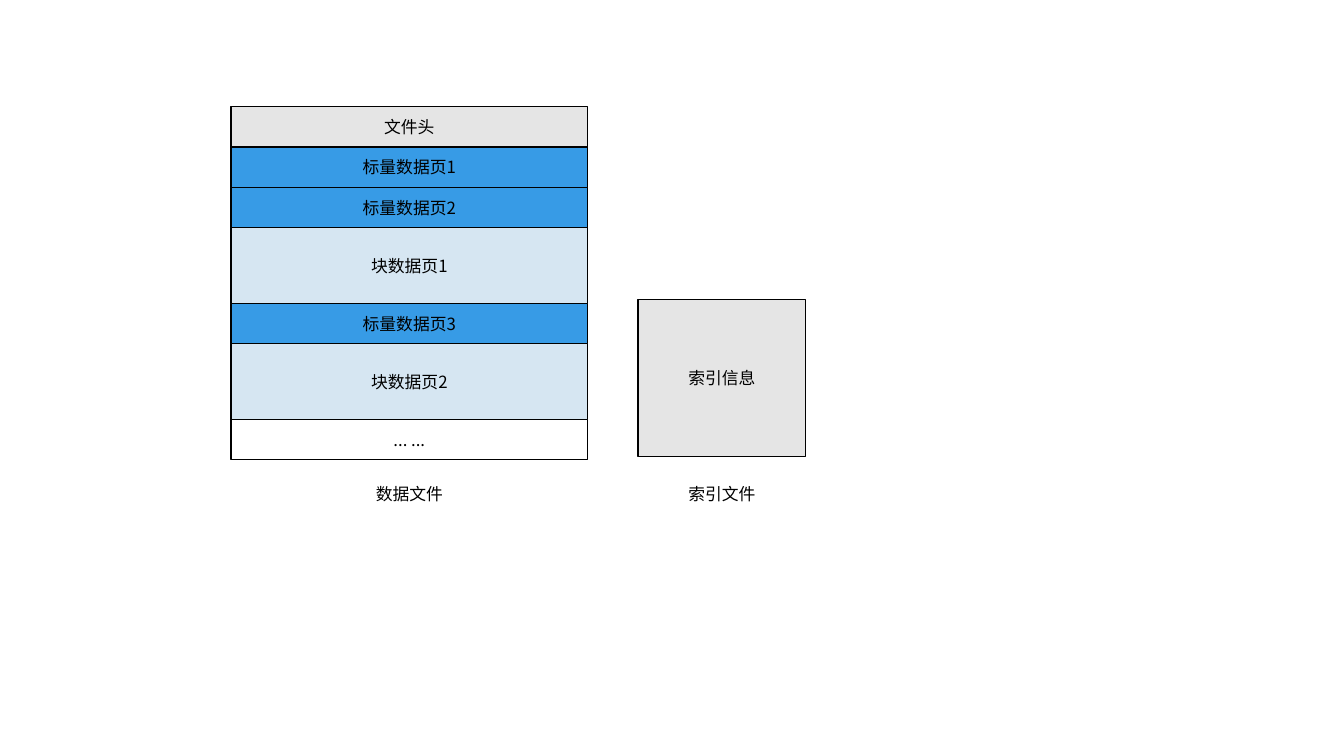
from dataclasses import dataclass

from lxml.etree import SubElement
from pptx import Presentation
from pptx.dml.color import RGBColor
from pptx.enum.shapes import MSO_SHAPE
from pptx.enum.text import MSO_ANCHOR, MSO_AUTO_SIZE, PP_ALIGN
from pptx.oxml.ns import qn
from pptx.util import Inches, Pt


@dataclass(frozen=True)
class Theme:
    """Fonts, sizes and colours of the slide."""
    font: str = "Noto Sans CJK SC"
    text_size: int = 12
    line_width: int = 1
    ink: str = "000000"
    neutral: str = "E5E5E5"
    scalar: str = "379BE6"
    block: str = "D6E6F2"
    blank: str = "FFFFFF"


class Diagram:
    """Draws boxes and captions on one slide in one theme."""

    def __init__(self, slide, theme):
        """Keep the slide and its theme."""
        self.slide = slide
        self.theme = theme

    def label(self, frame, text):
        """Put one centred line of text in a frame."""
        frame.word_wrap = True
        paragraph = frame.paragraphs[0]
        paragraph.alignment = PP_ALIGN.CENTER
        run = paragraph.add_run()
        run.text = text
        run.font.size = Pt(self.theme.text_size)
        run.font.color.rgb = RGBColor.from_string(self.theme.ink)
        run.font.name = self.theme.font
        east_asian = SubElement(run.font._element, qn("a:ea"))
        east_asian.set("typeface", self.theme.font)

    def box(self, text, left, top, width, height, fill):
        """Add an outlined rectangle with a label."""
        shape = self.slide.shapes.add_shape(
            MSO_SHAPE.RECTANGLE, Inches(left), Inches(top), Inches(width), Inches(height))
        shape.shadow.inherit = False
        shape.fill.solid()
        shape.fill.fore_color.rgb = RGBColor.from_string(fill)
        shape.line.color.rgb = RGBColor.from_string(self.theme.ink)
        shape.line.width = Pt(self.theme.line_width)
        shape.text_frame.vertical_anchor = MSO_ANCHOR.MIDDLE
        self.label(shape.text_frame, text)

    def caption(self, text, center, top, width=1.68, height=0.3):
        """Add a text box centred on a horizontal position."""
        shape = self.slide.shapes.add_textbox(
            Inches(center - width / 2), Inches(top), Inches(width), Inches(height))
        self.label(shape.text_frame, text)
        shape.text_frame.auto_size = MSO_AUTO_SIZE.SHAPE_TO_FIT_TEXT


presentation = Presentation()
presentation.slide_width = Inches(13.33)
presentation.slide_height = Inches(7.5)
theme = Theme()
diagram = Diagram(presentation.slides.add_slide(presentation.slide_layouts[6]), theme)

PAGE_HEIGHT, BLOCK_HEIGHT = 0.4, 0.75
DATA_LEFT, DATA_WIDTH = 2.29, 3.54
INDEX_LEFT, INDEX_WIDTH = 6.33, 1.66
CAPTION_TOP = 4.75

data_file = [
    ("文件头", PAGE_HEIGHT, theme.neutral),
    ("标量数据页1", PAGE_HEIGHT, theme.scalar),
    ("标量数据页2", PAGE_HEIGHT, theme.scalar),
    ("块数据页1", BLOCK_HEIGHT, theme.block),
    ("标量数据页3", PAGE_HEIGHT, theme.scalar),
    ("块数据页2", BLOCK_HEIGHT, theme.block),
    ("... ...", PAGE_HEIGHT, theme.blank),
]
top = 1.06
for name, height, fill in data_file:
    diagram.box(name, DATA_LEFT, top, DATA_WIDTH, height, fill)
    top += height

diagram.box("索引信息", INDEX_LEFT, 2.97, INDEX_WIDTH, 1.56, theme.neutral)
diagram.caption("数据文件", DATA_LEFT + DATA_WIDTH / 2, CAPTION_TOP)
diagram.caption("索引文件", INDEX_LEFT + INDEX_WIDTH / 2, CAPTION_TOP)

presentation.save("out.pptx")
